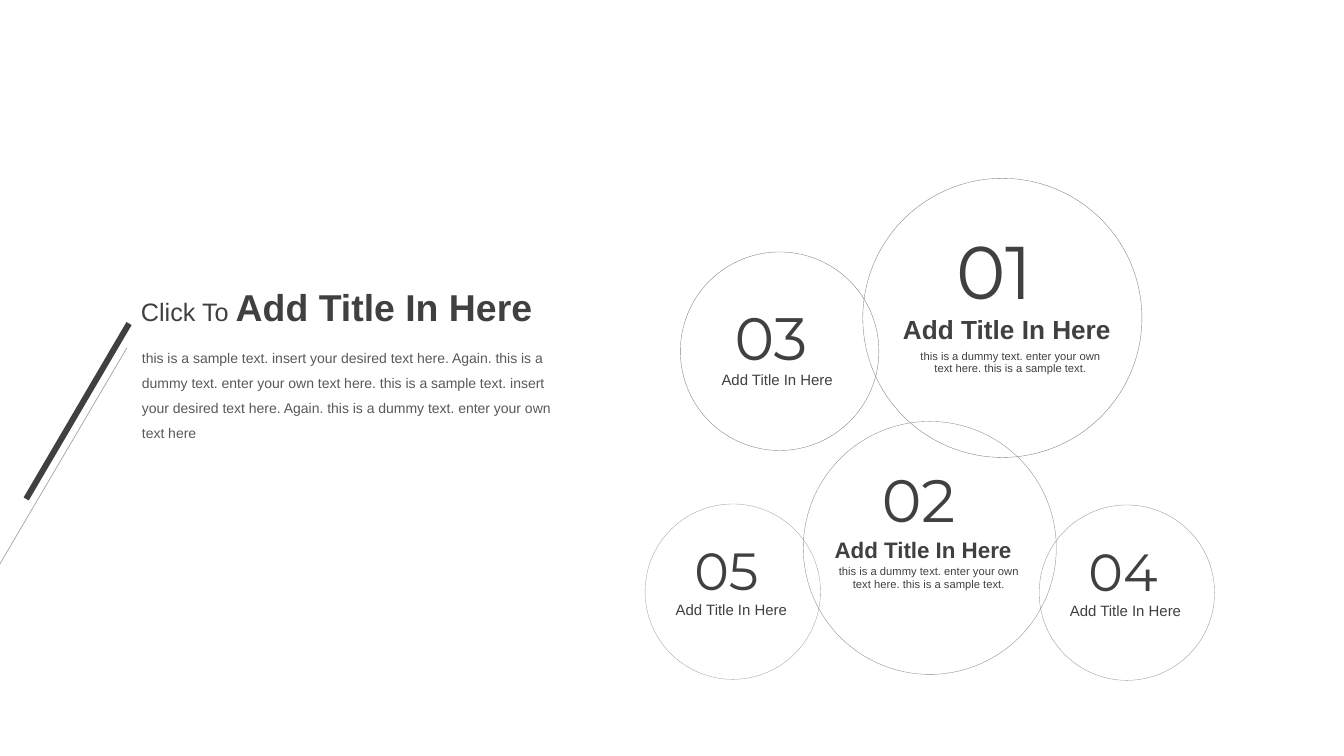
from lxml.etree import SubElement
from pptx import Presentation
from pptx.dml.color import RGBColor
from pptx.enum.shapes import MSO_CONNECTOR as Connector, MSO_SHAPE as Shape
from pptx.enum.text import MSO_AUTO_SIZE as AutoSize, PP_ALIGN as Align
from pptx.oxml.ns import qn
from pptx.util import Pt

DARK = RGBColor(0x40, 0x40, 0x40)
BODY = RGBColor(0x59, 0x59, 0x59)
OUTLINE = RGBColor(0x80, 0x80, 0x80)

TITLE = "Add Title In Here"
DUMMY = "this is a dummy text. enter your own text here. this is a sample text."
SAMPLE = ("this is a sample text. insert your desired text here. Again. "
          "this is a dummy text. enter your own text here. ")


def add_span(para, text, size=10, font="Arial", color=DARK, bold=False):
    span = para.add_run()
    span.text = text
    span.font.size = Pt(size)
    span.font.name = font
    span.font.bold = bold
    span.font.color.rgb = color


class Painter:
    """Draws the elements of this slide; all lengths are in points."""

    def __init__(self, page):
        self.page = page

    def style_line(self, line, color, width, opacity):
        line.color.rgb = color
        line.width = Pt(width)
        if opacity < 100:
            color_node = line.fill._xPr.find(qn("a:solidFill"))[0]
            SubElement(color_node, qn("a:alpha"), val=str(opacity * 1000))

    def text(self, place, *spans, wrap=False, align=Align.LEFT, spacing=None, canvas=None):
        box = (canvas or self.page).shapes.add_textbox(*map(Pt, place))
        frame = box.text_frame
        frame.word_wrap = wrap
        frame.auto_size = AutoSize.SHAPE_TO_FIT_TEXT
        para = frame.paragraphs[0]
        para.alignment = align
        para.line_spacing = spacing
        for words, style in spans:
            add_span(para, words, **style)

    def circle(self, left, top, size, opacity, canvas):
        ring = canvas.shapes.add_shape(Shape.OVAL, Pt(left), Pt(top), Pt(size), Pt(size))
        ring.shadow.inherit = False
        ring.fill.background()
        self.style_line(ring.line, OUTLINE, 0.25, opacity)

    def bubble(self, number, ring, opacity, number_place, number_size,
               title_place, title_size, bold=False, note_at=None):
        group = self.page.shapes.add_group_shape()
        self.circle(*ring, opacity, group)
        self.text(number_place, (number, dict(size=number_size, font="Montserrat")),
                  canvas=group)
        if note_at:
            self.text((*note_at, 146.2, 25.2), (DUMMY, dict(size=8)), wrap=True,
                      align=Align.CENTER, spacing=Pt(9), canvas=group)
        self.text(title_place, (TITLE, dict(size=title_size, bold=bold)), canvas=group)

    def slash(self, start, end, width, opacity=100):
        line = self.page.shapes.add_connector(Connector.STRAIGHT, *map(Pt, (*start, *end)))
        self.style_line(line.line, DARK, width, opacity)
        SubElement(line._element.spPr, qn("a:effectLst"))


def main():
    deck = Presentation()
    deck.slide_width, deck.slide_height = Pt(960), Pt(540)
    painter = Painter(deck.slides.add_slide(deck.slide_layouts[6]))

    # Large bubbles with a note
    painter.bubble("01", (616.3, 127.4, 199.4), 100, (676.1, 157, 86.4, 72), 53.3,
                   (637.9, 220.3, 163.4, 30.2), 18.7, bold=True, note_at=(648.7, 246.2))
    painter.bubble("02", (573.8, 301, 180.7), 89, (622.8, 326.9, 72, 59), 42.7,
                   (589, 379.4, 142.6, 26.6), 16, bold=True, note_at=(590.4, 400.3))

    # Medium bubble
    painter.bubble("03", (486, 180, 141.8), 100, (517.7, 211, 72, 59), 42.7,
                   (508.3, 261.4, 95, 20.2), 10.7)

    # Small bubbles share one inner layout
    for number, left, top, opacity in (("04", 742.3, 360.7, 80), ("05", 460.8, 360, 70)):
        painter.bubble(number, (left, top, 125.3), opacity,
                       (left + 28.1, top + 20.9, 64.8, 52.6), 37.3,
                       (left + 14.8, top + 65.5, 95, 20.2), 10.7)

    # Heading and body text
    painter.text((93.6, 199.4, 295.9, 39.6),
                 ("Click To ", dict(size=18)), (TITLE, dict(size=26.7, bold=True)))
    painter.text((94.3, 239.8, 319.7, 79.9),
                 ((SAMPLE * 2).removesuffix(". "), dict(color=BODY)), wrap=True, spacing=1.5)

    # Slanted accent lines
    painter.slash((92.2, 231.1), (18.7, 356.4), 4.25)
    painter.slash((90.7, 248.4), (-41.8, 473.8), 0.5, opacity=48)

    deck.save("out.pptx")


if __name__ == "__main__":
    main()
